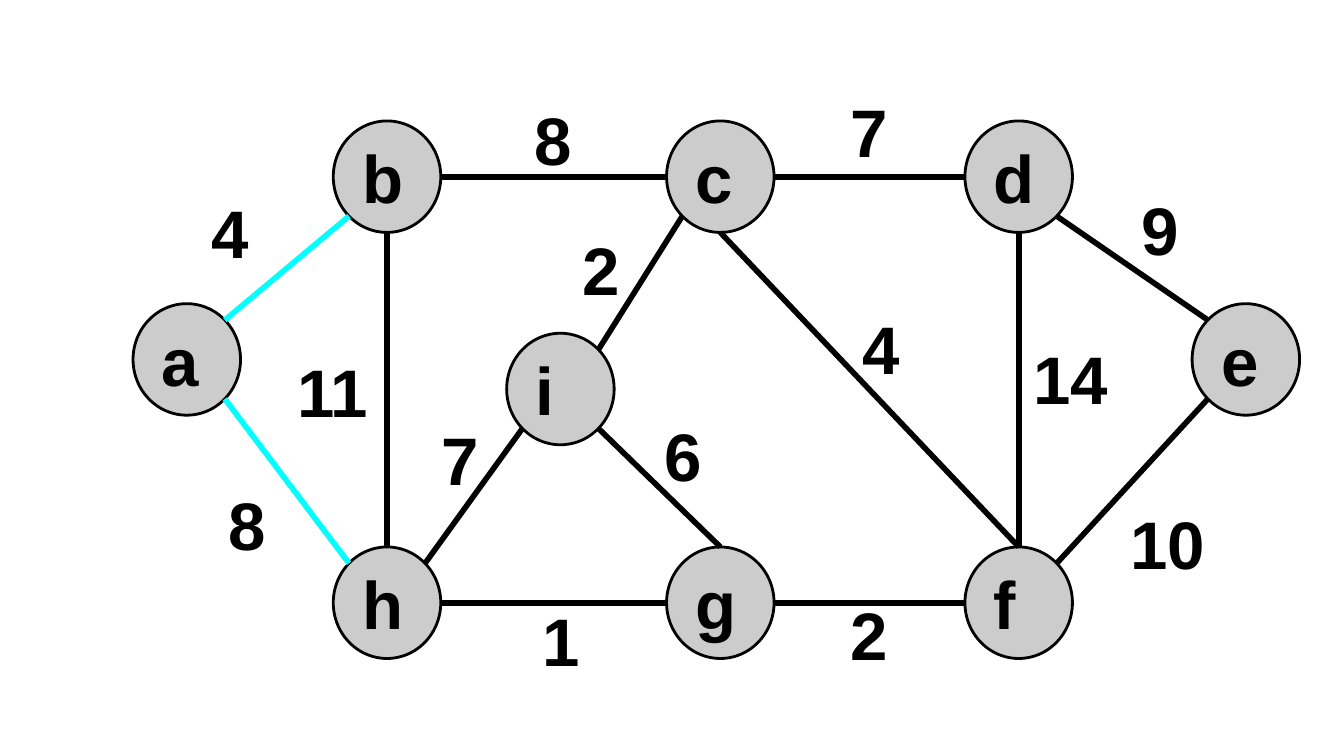
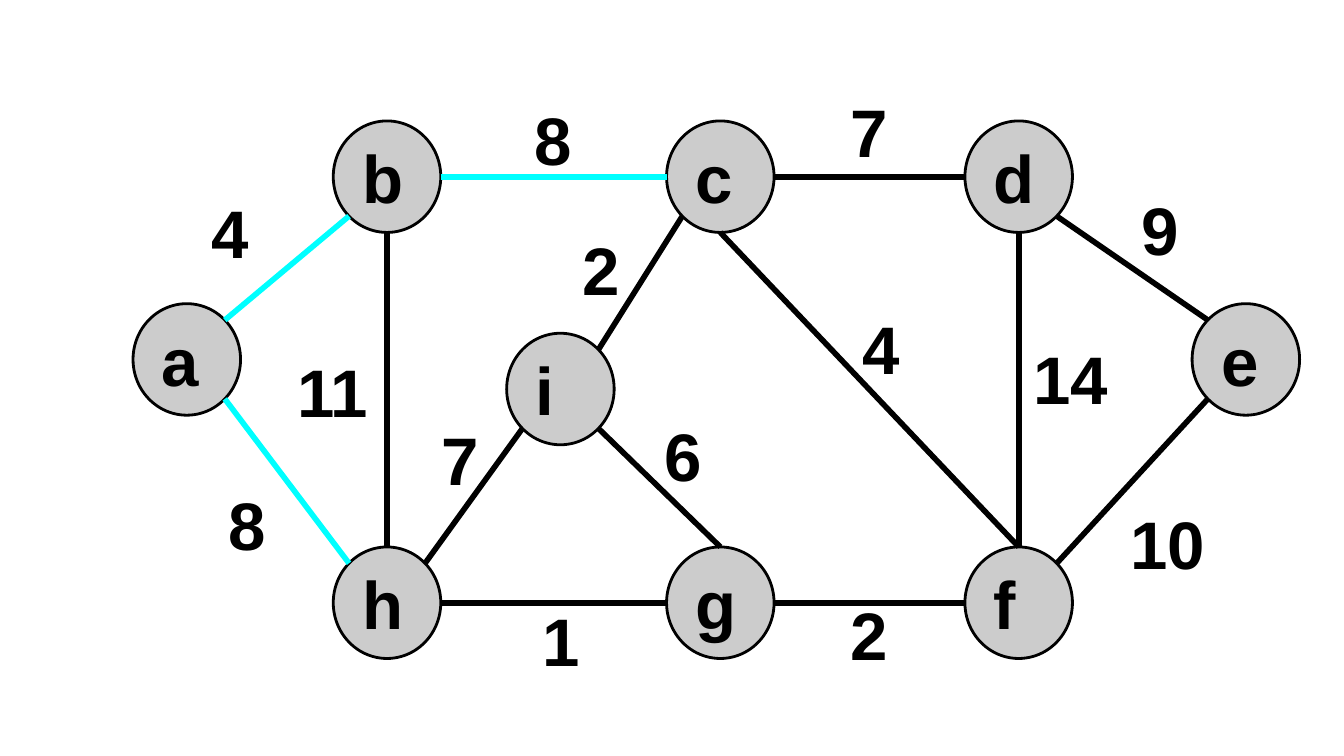
from math import sqrt

from lxml import etree
from pptx import Presentation
from pptx.dml.color import RGBColor
from pptx.enum.shapes import MSO_CONNECTOR, MSO_SHAPE
from pptx.enum.text import MSO_ANCHOR, PP_ALIGN
from pptx.oxml.ns import qn
from pptx.util import Inches, Pt

ELLIPSE = MSO_SHAPE.OVAL
STRAIGHT = MSO_CONNECTOR.STRAIGHT
LEFT, CENTER = PP_ALIGN.LEFT, PP_ALIGN.CENTER
TOP, MIDDLE = MSO_ANCHOR.TOP, MSO_ANCHOR.MIDDLE

# Shared style
SLIDE_WIDTH = 10
SLIDE_HEIGHT = SLIDE_WIDTH * 9 / 16
FONT, TEXT_SIZE = "Arial", 36
BLACK, NODE_FILL, HIGHLIGHT = "000000", "CCCCCC", "00FFFF"
NODE_WIDTH, NODE_HEIGHT = 0.8, 0.83
GRAPH_LEFT, GRAPH_TOP = 0.99, 0.59

# Node name -> left, top inside the graph
UPPER, SIDE, INNER, LOWER = 0.31, 1.67, 1.89, 3.48
NODES = {
    "b": (1.49, UPPER),
    "a": (0, SIDE),
    "h": (1.49, LOWER),
    "g": (3.97, LOWER),
    "c": (3.97, UPPER),
    "i": (2.78, INNER),
    "d": (6.19, UPPER),
    "f": (6.19, LOWER),
    "e": (7.88, SIDE),
}

# Where an edge touches a node, as a direction from its centre
DIAGONAL = sqrt(0.5)
SITES = {
    "n": (0, -1), "s": (0, 1), "w": (-1, 0), "e": (1, 0),
    "nw": (-DIAGONAL, -DIAGONAL), "ne": (DIAGONAL, -DIAGONAL),
    "sw": (-DIAGONAL, DIAGONAL), "se": (DIAGONAL, DIAGONAL),
}

# Edge -> start site, end site, weight, label box inside the graph
EDGES = {
    "ab": ("ne", "sw", "4", (0.32, 0.73, 0.8, 0.69)),
    "bc": ("e", "w", "8", (2.76, 0, 0.73, 0.88)),
    "cd": ("e", "w", "7", (5.01, 0.04, 0.93, 0.69)),
    "de": ("se", "nw", "9", (7.19, 0.73, 0.9, 0.77)),
    "ef": ("sw", "ne", "10", (7.3, 3.1, 0.8, 0.69)),
    "gf": ("e", "w", "2", (5.17, 3.78, 0.62, 0.69)),
    "hg": ("e", "w", "1", (2.72, 3.73, 0.93, 0.88)),
    "ah": ("se", "nw", "8", (0.6, 2.89, 0.5, 0.83)),
    "hi": ("ne", "sw", "7", (1.97, 2.38, 0.93, 0.88)),
    "ic": ("ne", "sw", "2", (3.12, 0.97, 0.73, 0.88)),
    "bh": ("s", "n", "11", (1.12, 1.93, 0.73, 0.77)),
    "df": ("s", "n", "14", (6.51, 1.72, 0.93, 1)),
    "cf": ("s", "n", "4", (5.1, 1.5, 0.93, 0.99)),
    "ig": ("se", "n", "6", (3.73, 2.3, 0.73, 0.99)),
}
TOP_ANCHORED = {"ab"}

# Edges highlighted on each slide
STEPS = [{"ab", "ah"}, {"ab", "ah", "bc"}]


def color(hex_string):
    return RGBColor.from_string(hex_string)


def write(shape, text, align, anchor, wrap):
    frame = shape.text_frame
    frame.word_wrap = wrap
    frame.vertical_anchor = anchor
    frame.margin_left = frame.margin_right = Inches(0.1)
    frame.margin_top = frame.margin_bottom = Inches(0.1)
    paragraph = frame.paragraphs[0]
    paragraph.alignment = align
    run = paragraph.add_run()
    run.text = text
    run.font.name = FONT
    run.font.size = Pt(TEXT_SIZE)
    run.font.bold = True
    run.font.color.rgb = color(BLACK)


def draw_node(slide, name, left, top):
    node = slide.shapes.add_shape(ELLIPSE, Inches(left), Inches(top),
                                  Inches(NODE_WIDTH), Inches(NODE_HEIGHT))
    node.shadow.inherit = False
    node.fill.solid()
    node.fill.fore_color.rgb = color(NODE_FILL)
    node.line.color.rgb = color(BLACK)
    node.line.width = Pt(1.5)
    write(node, name, LEFT, MIDDLE, True)


def touch_point(name, site, left, top):
    x, y = NODES[name]
    dx, dy = SITES[site]
    return (Inches(left + x + NODE_WIDTH / 2 * (1 + dx)),
            Inches(top + y + NODE_HEIGHT / 2 * (1 + dy)))


def draw_edge(slide, start, end, line_color):
    edge = slide.shapes.add_connector(STRAIGHT, *start, *end)
    edge.line.color.rgb = color(line_color)
    edge.line.width = Pt(3)
    etree.SubElement(edge._element.spPr, qn("a:effectLst"))


def draw_weight(slide, weight, left, top, width, height, anchor):
    label = slide.shapes.add_textbox(Inches(left), Inches(top),
                                     Inches(width), Inches(height))
    write(label, weight, CENTER, anchor, False)


def draw_graph(slide, left, top, highlighted):
    # Nodes
    for name, (x, y) in NODES.items():
        draw_node(slide, name, left + x, top + y)
    # Edges
    for edge, (start_site, end_site, _, _) in EDGES.items():
        draw_edge(slide,
                  touch_point(edge[0], start_site, left, top),
                  touch_point(edge[1], end_site, left, top),
                  HIGHLIGHT if edge in highlighted else BLACK)
    # Weights
    for edge, (_, _, weight, (x, y, width, height)) in EDGES.items():
        draw_weight(slide, weight, left + x, top + y, width, height,
                    TOP if edge in TOP_ANCHORED else MIDDLE)


def main():
    deck = Presentation()
    deck.slide_width, deck.slide_height = Inches(SLIDE_WIDTH), Inches(SLIDE_HEIGHT)
    blank = deck.slide_layouts[6]
    for highlighted in STEPS:
        draw_graph(deck.slides.add_slide(blank), GRAPH_LEFT, GRAPH_TOP, highlighted)
    deck.save("out.pptx")


if __name__ == "__main__":
    main()
